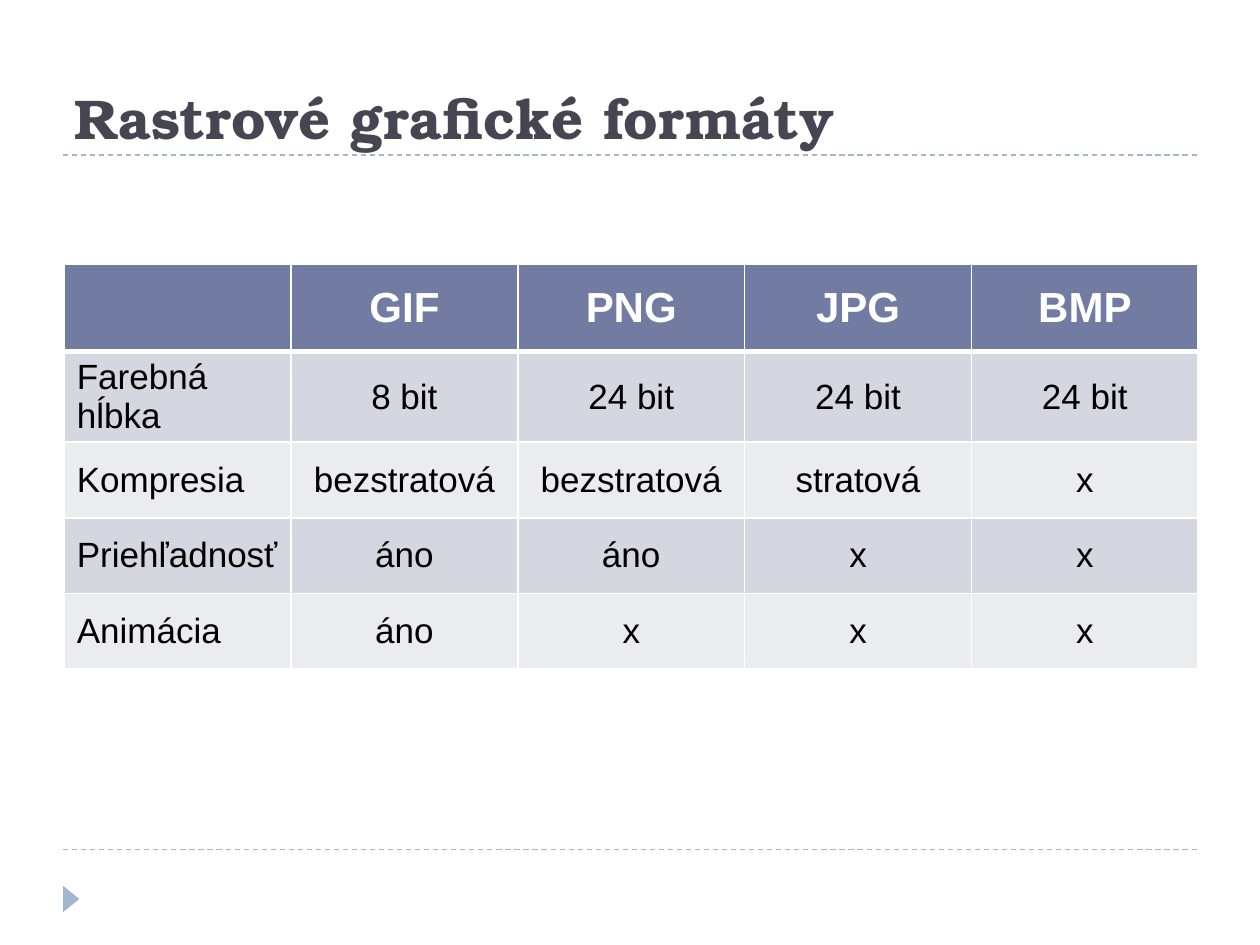
from lxml import etree
from pptx import Presentation
from pptx.dml.color import RGBColor
from pptx.enum.dml import MSO_LINE
from pptx.enum.shapes import MSO_CONNECTOR, MSO_SHAPE
from pptx.enum.text import MSO_ANCHOR, PP_ALIGN
from pptx.oxml.ns import qn
from pptx.util import Inches, Pt

STRAIGHT = MSO_CONNECTOR.STRAIGHT
TRIANGLE = MSO_SHAPE.ISOSCELES_TRIANGLE
DASH = MSO_LINE.DASH
MIDDLE, BOTTOM = MSO_ANCHOR.MIDDLE, MSO_ANCHOR.BOTTOM
LEFT, CENTER = PP_ALIGN.LEFT, PP_ALIGN.CENTER

SKY = RGBColor(0x9F, 0xB8, 0xCD)
SLATE = RGBColor(0x46, 0x46, 0x53)
HEAD = RGBColor(0x72, 0x7C, 0xA3)
BANDS = [RGBColor(0xEB, 0xEC, 0xF0), RGBColor(0xD5, 0xD7, 0xE0)]
WHITE = RGBColor(0xFF, 0xFF, 0xFF)
BLACK = RGBColor(0, 0, 0)

ROWS = [
    ["", "GIF", "PNG", "JPG", "BMP"],
    ["Farebná hĺbka", "8 bit", "24 bit", "24 bit", "24 bit"],
    ["Kompresia", "bezstratová", "bezstratová", "stratová", "x"],
    ["Priehľadnosť", "áno", "áno", "x", "x"],
    ["Animácia", "áno", "x", "x", "x"],
]


def add_text(para, text, font, size, color, bold):
    run = para.add_run()
    run.text = text
    run.font.name = font
    run.font.size = Pt(size)
    run.font.bold = bold
    run.font.color.rgb = color


def add_edge(cell, side, width):
    edge = etree.SubElement(cell._tc.get_or_add_tcPr(), qn(f"a:ln{side}"), w=str(Pt(width)))
    fill = etree.SubElement(edge, qn("a:solidFill"))
    etree.SubElement(fill, qn("a:srgbClr"), val=str(WHITE))


prs = Presentation()
prs.slide_width, prs.slide_height = Inches(10), Inches(7.5)
slide = prs.slides.add_slide(prs.slide_layouts[5])
shapes = slide.shapes

# Dashed rules
for y in (6.74, 1.23):
    rule = shapes.add_connector(STRAIGHT, Inches(0.5), Inches(y), Inches(9.5), Inches(y))
    rule.line.color.rgb = SKY
    rule.line.width = Pt(0.75)
    rule.line.dash_style = DASH
    etree.SubElement(rule._element.spPr, qn("a:effectLst"))

# Footer marker
mark = shapes.add_shape(TRIANGLE, Inches(0.46), Inches(7.07), Inches(0.21), Inches(0.13))
mark.rotation = 90
mark.shadow.inherit = False
mark.fill.solid()
mark.fill.fore_color.rgb = SKY
mark.line.fill.background()

# Title
title = shapes.title
title.left, title.top = Inches(0.49), Inches(0.17)
title.width, title.height = Inches(9), Inches(1.08)
title.text_frame.vertical_anchor = BOTTOM
para = title.text_frame.paragraphs[0]
para.alignment = LEFT
add_text(para, "Rastrové grafické formáty", "TeX Gyre Bonum", 32, SLATE, True)

# Format table
table = shapes.add_table(len(ROWS), len(ROWS[0]), Inches(0.51), Inches(2.1),
                         Inches(9), Inches(3.09)).table
for col in table.columns:
    col.width = Inches(1.8)
for r, texts in enumerate(ROWS):
    top = r == 0
    table.rows[r].height = Inches(0.69 if top else 0.6)
    for c, text in enumerate(texts):
        cell = table.cell(r, c)
        for side in "LRTB":
            thick = (top and side == "B") or (r == 1 and side == "T")
            add_edge(cell, side, 3 if thick else 1)
        cell.fill.solid()
        cell.fill.fore_color.rgb = HEAD if top else BANDS[r % 2]
        cell.vertical_anchor = MIDDLE
        para = cell.text_frame.paragraphs[0]
        para.alignment = CENTER if c else LEFT
        if c == 0:
            cell.margin_right = Inches(0.05)
        if text:
            add_text(para, text, "Arial", 24 if top else 20, WHITE if top else BLACK, top)

prs.save("out.pptx")
